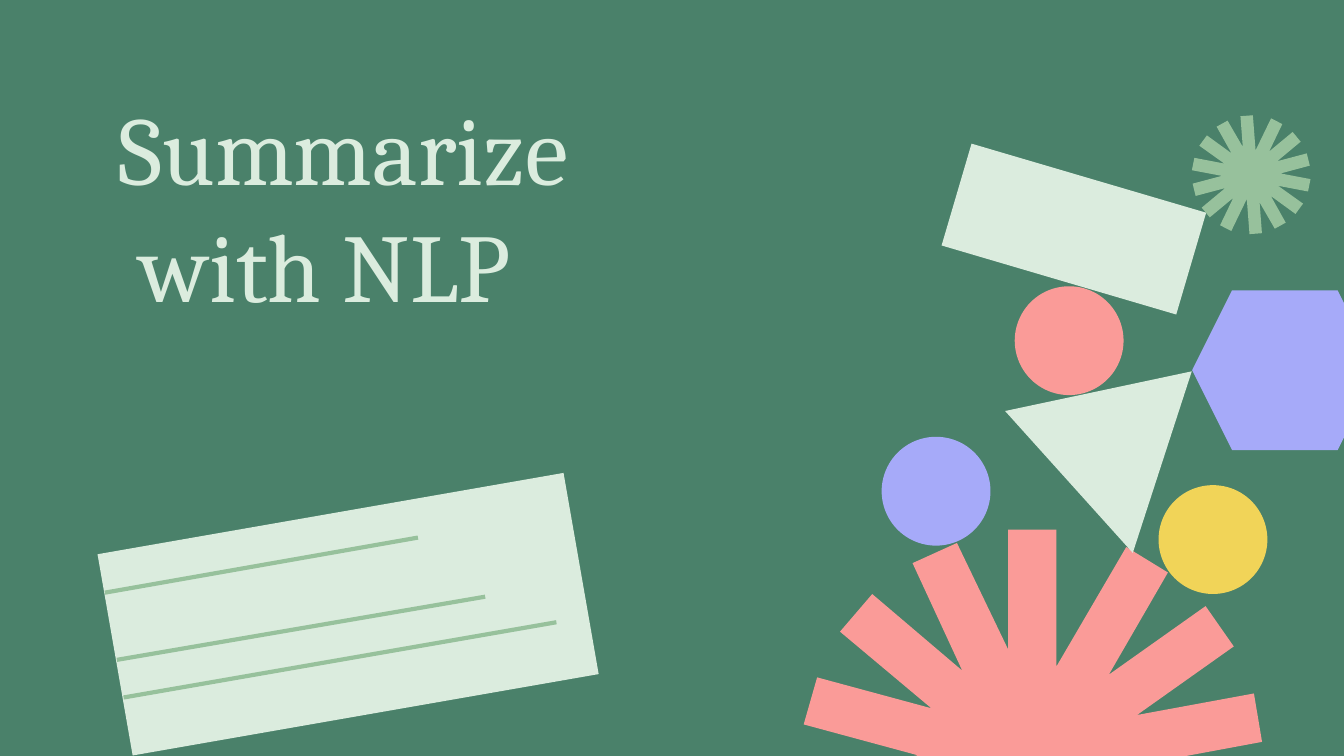
from dataclasses import dataclass

from lxml.etree import SubElement
from pptx import Presentation
from pptx.dml.color import RGBColor
from pptx.enum.shapes import MSO_CONNECTOR, MSO_SHAPE as Shape
from pptx.enum.text import MSO_ANCHOR, MSO_AUTO_SIZE, PP_ALIGN
from pptx.oxml.ns import qn
from pptx.util import Inches, Pt


@dataclass(frozen=True)
class Theme:
    green: RGBColor = RGBColor.from_string("4A816A")
    sage: RGBColor = RGBColor.from_string("97C19C")
    mint: RGBColor = RGBColor.from_string("DBECDE")
    coral: RGBColor = RGBColor.from_string("FA9B98")
    lilac: RGBColor = RGBColor.from_string("A6AAF9")
    yellow: RGBColor = RGBColor.from_string("F1D458")
    font: str = "Cambria"
    title_size: Pt = Pt(52)
    rule_width: Pt = Pt(2.25)


THEME = Theme()

# Left half of a burst around its centre; the other half is its half turn
BURST_WIDTH = 3.42
HALF_BURST = [
    (-0.18, -1.71), (-0.18, -0.82), (-0.56, -1.61), (-0.89, -1.46),
    (-0.52, -0.66), (-1.19, -1.23), (-1.43, -0.95), (-0.75, -0.38),
    (-1.6, -0.61), (-1.7, -0.26), (-0.85, -0.03), (-1.71, 0.13),
    (-1.65, 0.49), (-0.78, 0.33), (-1.5, 0.84), (-1.29, 1.14),
    (-0.57, 0.63), (-1.01, 1.39), (-0.7, 1.58), (-0.18, 0.69),
    (-0.18, 1.71),
]


def paint(shape, color, rotation=0):
    shape.shadow.inherit = False
    shape.fill.solid()
    shape.fill.fore_color.rgb = color
    shape.line.fill.background()
    shape.rotation = rotation


def add_block(shapes, kind, box, color, rotation=0):
    block = shapes.add_shape(kind, *map(Inches, box))
    paint(block, color, rotation)


def add_burst(shapes, center, width, color, rotation=0):
    scale = width / BURST_WIDTH
    outline = HALF_BURST + [(-x, -y) for x, y in HALF_BURST]
    points = [(Inches(center[0] + x * scale), Inches(center[1] + y * scale))
              for x, y in outline]
    builder = shapes.build_freeform(*points[0])
    builder.add_line_segments(points[1:], close=True)
    paint(builder.convert_to_shape(), color, rotation)


def add_title(page, box):
    title = page.shapes.title
    title.left, title.top, title.width, title.height = map(Inches, box)
    frame = title.text_frame
    frame.word_wrap = True
    frame.auto_size = MSO_AUTO_SIZE.NONE
    frame.vertical_anchor = MSO_ANCHOR.TOP
    frame.margin_left = frame.margin_right = Inches(0.1)
    frame.margin_top = frame.margin_bottom = Inches(0.1)
    frame.text = "Summarize \v with NLP"
    para = frame.paragraphs[0]
    para.alignment = PP_ALIGN.LEFT
    for span in para.runs:
        span.font.name = THEME.font
        span.font.size = THEME.title_size
        span.font.color.rgb = THEME.mint


def add_note_card(page, box):
    """Tilted sheet with three ruled lines, offset from the box corner."""
    left, top = box[:2]
    group = page.shapes.add_group_shape()
    add_block(group.shapes, Shape.RECTANGLE, box, THEME.mint, 350.1)
    for x1, y1, x2, y2 in [(-0.05, 0.6, 2.28, 0.19),
                           (0.04, 1.1, 2.78, 0.63),
                           (0.09, 1.38, 3.31, 0.82)]:
        rule = group.shapes.add_connector(
            MSO_CONNECTOR.STRAIGHT, Inches(left + x1), Inches(top + y1),
            Inches(left + x2), Inches(top + y2))
        rule.line.color.rgb = THEME.sage
        rule.line.width = THEME.rule_width
        SubElement(rule._element.spPr, qn("a:effectLst"))


def add_backdrop(page, box):
    """Hexagon running off the right edge and the small burst above it."""
    left, top = box[:2]
    add_block(page.shapes, Shape.HEXAGON, box, THEME.lilac)
    add_burst(page.shapes, (left + 0.44, top - 0.86), 0.88, THEME.sage, 355.6)


def add_balancing_shapes(page, box):
    """Big burst with the shapes stacked on it, offset from the box corner."""
    left, top = box

    def place(kind, x, y, width, height, color, rotation=0):
        add_block(page.shapes, kind, (left + x, top + y, width, height),
                  color, rotation)

    def ball(x, y, color):
        place(Shape.OVAL, x, y, 0.81, 0.81, color)

    add_burst(page.shapes, (left + 1.71, top + 4.34), BURST_WIDTH, THEME.coral)
    place(Shape.ISOSCELES_TRIANGLE, 1.73, 1.25, 1.42, 1.23, THEME.mint, 48)
    ball(1.58, 0.82, THEME.coral)
    ball(2.65, 2.3, THEME.yellow)
    place(Shape.RECTANGLE, 1.11, 0, 1.82, 0.79, THEME.mint, 16.4)
    ball(0.59, 1.94, THEME.lilac)


def main():
    deck = Presentation()
    # Widescreen, 16:9
    deck.slide_width = Inches(10)
    deck.slide_height = deck.slide_width * 9 // 16
    page = deck.slides.add_slide(deck.slide_layouts[0])
    page.background.fill.solid()
    page.background.fill.fore_color.rgb = THEME.green

    # The subtitle placeholder is not used
    subtitle = page.placeholders[1].element
    subtitle.getparent().remove(subtitle)

    add_title(page, (0.78, 0.56, 5.78, 2.64))
    add_backdrop(page, (8.87, 2.16, 1.38, 1.19))
    add_note_card(page, (0.83, 3.81, 3.52, 1.52))
    add_balancing_shapes(page, (5.97, 1.31))
    deck.save("out.pptx")


if __name__ == "__main__":
    main()
